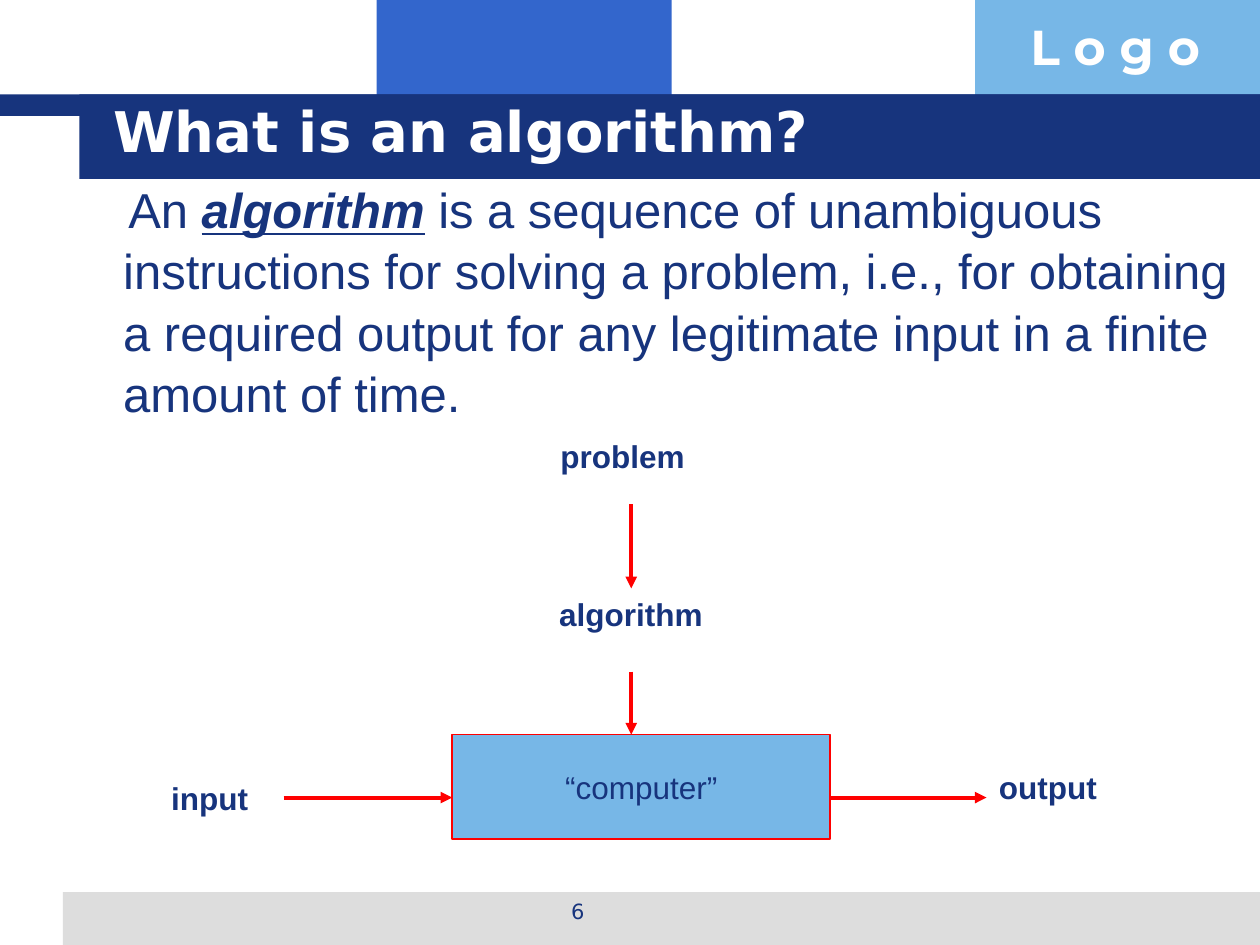
"""Build a slide that defines an algorithm and shows its flow."""
from dataclasses import dataclass
from typing import NamedTuple, Optional

from lxml import etree
from pptx import Presentation
from pptx import util as u
from pptx.dml.color import RGBColor
from pptx.enum import shapes, text
from pptx.oxml import ns


@dataclass(frozen=True)
class Theme:
    navy: str = "17347D"
    blue: str = "3366CC"
    sky: str = "77B7E7"
    grey: str = "DDDDDD"
    white: str = "FFFFFF"
    red: str = "FF0000"
    body_font: str = "Arial"
    title_font: str = "DejaVu Sans"
    logo_font: str = "Montserrat"
    title_size: float = 32
    body_size: float = 28
    label_size: float = 18
    number_size: float = 12
    box_line: float = 1
    arrow_line: float = 2.25


THEME = Theme()


class Area(NamedTuple):
    left: float
    top: float
    width: float
    height: float


class Panel(NamedTuple):
    area: Area
    color: str
    outline: Optional[str] = None


class Label(NamedTuple):
    wording: str
    area: Area


class Arrow(NamedTuple):
    start: tuple[float, float]
    end: tuple[float, float]


COMPUTER = Area(3.59, 5.83, 3, 0.83)
AXIS_X, AXIS_Y = 5.01, 6.33

PANELS = [
    Panel(Area(2.99, 0, 2.34, 0.92), THEME.blue),
    Panel(Area(7.74, 0, 2.26, 0.92), THEME.sky),
    Panel(Area(0.5, 7.08, 9.5, 0.42), THEME.grey),
    Panel(Area(0, 0.75, 10, 0.17), THEME.navy),
    Panel(Area(0.63, 0.75, 9.37, 0.67), THEME.navy),
    Panel(COMPUTER, THEME.sky, THEME.red),
]
LABELS = [
    Label("problem", Area(4.35, 3.42, 1.4, 0.4)),
    Label("algorithm", Area(4.34, 4.67, 1.34, 0.4)),
    Label("input", Area(1.26, 6.13, 0.88, 0.4)),
    Label("output", Area(7.83, 6.05, 1.31, 0.4)),
]
ARROWS = [
    Arrow((AXIS_X, 4), (AXIS_X, 4.67)),
    Arrow((AXIS_X, 5.33), (AXIS_X, COMPUTER.top)),
    Arrow((2.25, AXIS_Y), (COMPUTER.left, AXIS_Y)),
    Arrow((6.58, AXIS_Y), (7.83, AXIS_Y)),
]


def inches(values: tuple) -> list:
    return [u.Inches(value) for value in values]


def write(paragraph, wording: str, *, size: float = THEME.label_size,
          font: str = THEME.body_font, color: str = THEME.navy, bold: bool = False,
          italic: bool = False, underline: bool = False) -> None:
    run = paragraph.add_run()
    run.text = wording
    run.font.size = u.Pt(size)
    run.font.name = font
    run.font.color.rgb = RGBColor.from_string(color)
    run.font.bold, run.font.italic, run.font.underline = bold, italic, underline


def add_paragraph_box(slide, area: Area, align=text.PP_ALIGN.LEFT,
                      anchor=text.MSO_ANCHOR.TOP):
    frame = slide.shapes.add_textbox(*inches(area)).text_frame
    frame.word_wrap = True
    frame.vertical_anchor = anchor
    paragraph = frame.paragraphs[0]
    paragraph.alignment = align
    return paragraph


def add_panel(slide, panel: Panel):
    shape = slide.shapes.add_shape(shapes.MSO_SHAPE.RECTANGLE, *inches(panel.area))
    shape.shadow.inherit = False
    shape.fill.solid()
    shape.fill.fore_color.rgb = RGBColor.from_string(panel.color)
    if panel.outline:
        shape.line.color.rgb = RGBColor.from_string(panel.outline)
        shape.line.width = u.Pt(THEME.box_line)
    else:
        shape.line.fill.background()
    return shape


def add_arrow(slide, arrow: Arrow) -> None:
    connector = slide.shapes.add_connector(
        shapes.MSO_CONNECTOR.STRAIGHT, *inches(arrow.start + arrow.end))
    connector.line.color.rgb = RGBColor.from_string(THEME.red)
    connector.line.width = u.Pt(THEME.arrow_line)
    etree.SubElement(connector.line._get_or_add_ln(), ns.qn("a:tailEnd"), type="triangle")
    etree.SubElement(connector._element.spPr, ns.qn("a:effectLst"))


def add_definition(slide) -> None:
    paragraph = add_paragraph_box(slide, Area(0.5, 1.36, 9.5, 2))
    properties = paragraph._p.get_or_add_pPr()
    properties.set("marL", str(u.Inches(0.38)))
    properties.set("indent", str(u.Inches(0.04)))
    paragraph.line_spacing = 1.04
    write(paragraph, "An ", size=THEME.body_size)
    write(paragraph, "algorithm", size=THEME.body_size,
          bold=True, italic=True, underline=True)
    write(paragraph, " is a sequence of unambiguous instructions for solving a problem, "
          "i.e., for obtaining a required output for any legitimate input in a finite "
          "amount of time.", size=THEME.body_size)


def main() -> None:
    deck = Presentation()
    deck.slide_width, deck.slide_height = u.Inches(10), u.Inches(7.5)
    slide = deck.slides.add_slide(deck.slide_layouts[6])

    *_, computer = [add_panel(slide, panel) for panel in PANELS]
    computer_text = computer.text_frame.paragraphs[0]
    computer_text.alignment = text.PP_ALIGN.CENTER
    write(computer_text, "“computer”")

    logo = add_paragraph_box(slide, Area(8.08, 0.08, 1.93, 0.57))
    write(logo, "L o g o", size=THEME.body_size, font=THEME.logo_font,
          color=THEME.white, bold=True)
    title = add_paragraph_box(slide, Area(0.8, 0.72, 8.53, 0.62),
                              anchor=text.MSO_ANCHOR.MIDDLE)
    write(title, "What is an algorithm?", size=THEME.title_size,
          font=THEME.title_font, color=THEME.white, bold=True)
    add_definition(slide)

    for label in LABELS:
        write(add_paragraph_box(slide, label.area), label.wording, bold=True)
    for arrow in ARROWS:
        add_arrow(slide, arrow)

    number = add_paragraph_box(slide, Area(3.42, 7.08, 2.33, 0.35), text.PP_ALIGN.CENTER)
    write(number, "6", size=THEME.number_size, font=THEME.title_font)
    deck.save("out.pptx")


if __name__ == "__main__":
    main()
